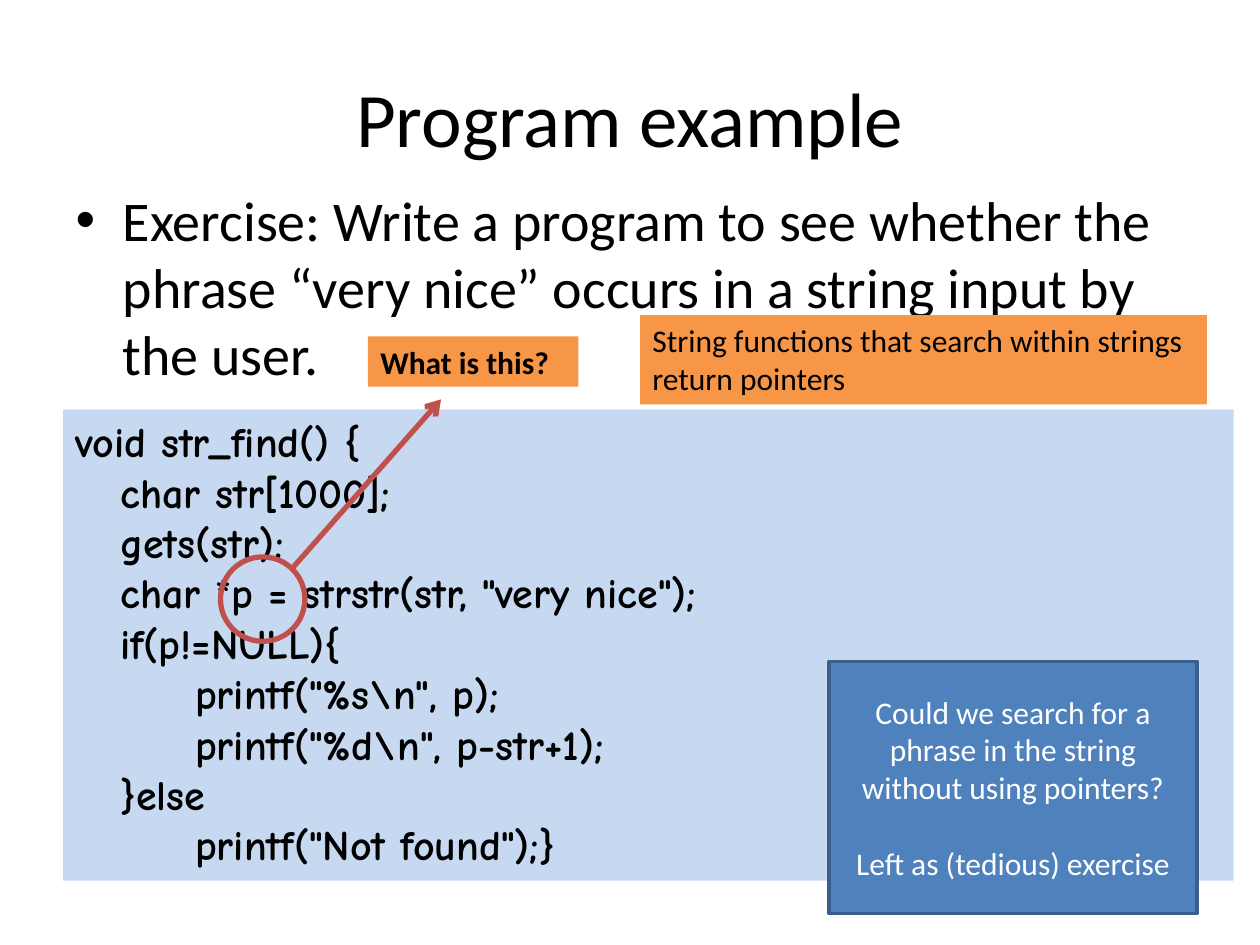
from dataclasses import dataclass

from lxml.etree import SubElement
from pptx import Presentation
from pptx.dml.color import RGBColor
from pptx.enum.shapes import MSO_CONNECTOR, MSO_SHAPE
from pptx.enum.text import MSO_ANCHOR, MSO_AUTO_SIZE, PP_ALIGN
from pptx.oxml.ns import qn
from pptx.util import Inches, Pt


@dataclass(frozen=True)
class Theme:
    text: str = "000000"
    light_text: str = "FFFFFF"
    code_fill: str = "C6D9F1"
    label_fill: str = "F79646"
    note_fill: str = "4F81BD"
    note_line: str = "3A5F8C"
    mark: str = "C0504D"
    font: str = "Calibri"
    code_font: str = "Comic Neue"
    title_size: int = 44
    body_size: int = 32
    code_size: int = 24
    label_size: int = 18


THEME = Theme()

CODE = r"""void str_find() {
   char str[1000];
   gets(str);
   char *p = strstr(str, "very nice");
   if(p!=NULL){
        printf("%s\n", p);
        printf("%d\n", p-str+1);
   }else
        printf("Not found");}"""


def style(p, size, color=THEME.text, font=THEME.font, bold=False, align=None):
    p.alignment = align
    p.font.size = Pt(size)
    p.font.name = font
    p.font.bold = bold
    p.font.color.rgb = RGBColor.from_string(color)


def fill_placeholder(sp, box, text, size, anchor, align=None):
    sp.left, sp.top, sp.width, sp.height = map(Inches, box)
    tf = sp.text_frame
    tf.text = text
    tf.auto_size = MSO_AUTO_SIZE.NONE
    tf.vertical_anchor = anchor
    p = tf.paragraphs[0]
    p.space_before = Pt(0)
    style(p, size, align=align)


def add_panel(slide, kind, box, fill=None, line=None, line_width=0):
    sp = slide.shapes.add_shape(kind, *map(Inches, box))
    sp.shadow.inherit = False
    if fill:
        sp.fill.solid()
        sp.fill.fore_color.rgb = RGBColor.from_string(fill)
    else:
        sp.fill.background()
    if line:
        sp.line.color.rgb = RGBColor.from_string(line)
        sp.line.width = Pt(line_width)
    else:
        sp.line.fill.background()
    return sp


def write_lines(sp, lines, size, anchor=MSO_ANCHOR.TOP, gap=0, **look):
    """Write one paragraph per line, with gap points between paragraphs."""
    tf = sp.text_frame
    tf.word_wrap = True
    tf.vertical_anchor = anchor
    for i, line in enumerate(lines):
        p = tf.add_paragraph() if i else tf.paragraphs[0]
        p.add_run().text = line
        p.space_before = Pt(gap if i else 0)
        style(p, size, **look)


def add_label(slide, box, text, bold=False):
    sp = add_panel(slide, MSO_SHAPE.RECTANGLE, box, THEME.label_fill)
    write_lines(sp, [text], THEME.label_size, bold=bold, align=PP_ALIGN.LEFT)


def add_arrow(slide, start, end, color, width):
    cn = slide.shapes.add_connector(MSO_CONNECTOR.STRAIGHT, *map(Inches, start + end))
    cn.line.color.rgb = RGBColor.from_string(color)
    cn.line.width = Pt(width)
    SubElement(cn.line._get_or_add_ln(), qn("a:tailEnd"), type="arrow")
    SubElement(cn._element.spPr, qn("a:effectLst"))


def main():
    prs = Presentation()
    prs.slide_width, prs.slide_height = Inches(10), Inches(7.5)
    slide = prs.slides.add_slide(prs.slide_layouts[1])

    fill_placeholder(slide.shapes.title, (0.5, 0.3, 9, 1.25), "Program example",
                     THEME.title_size, MSO_ANCHOR.MIDDLE, PP_ALIGN.CENTER)
    fill_placeholder(slide.placeholders[1], (0.5, 1.42, 9, 4.95),
                     "Exercise: Write a program to see whether the phrase "
                     "“very nice” occurs in a string input by the user.",
                     THEME.body_size, MSO_ANCHOR.TOP)

    code = add_panel(slide, MSO_SHAPE.RECTANGLE, (0.5, 3.25, 9.29, 3.74), THEME.code_fill)
    write_lines(code, CODE.splitlines(), THEME.code_size, font=THEME.code_font,
                bold=True, align=PP_ALIGN.LEFT)

    add_panel(slide, MSO_SHAPE.OVAL, (1.75, 4.42, 0.67, 0.67),
              line=THEME.mark, line_width=3)
    add_arrow(slide, (2.32, 4.51), (3.5, 3.17), THEME.mark, 3)

    add_label(slide, (2.92, 2.67, 1.67, 0.4), "What is this?", bold=True)
    add_label(slide, (5.08, 2.5, 4.5, 0.71),
              "String functions that search within strings return pointers")

    note = add_panel(slide, MSO_SHAPE.RECTANGLE, (6.58, 5.25, 2.92, 2),
                     THEME.note_fill, THEME.note_line, 2)
    write_lines(note, ["Could we search for a phrase in the string without using pointers?",
                       "Left as (tedious) exercise"],
                THEME.label_size, MSO_ANCHOR.MIDDLE, gap=22,
                color=THEME.light_text, align=PP_ALIGN.CENTER)

    prs.save("out.pptx")


if __name__ == "__main__":
    main()
